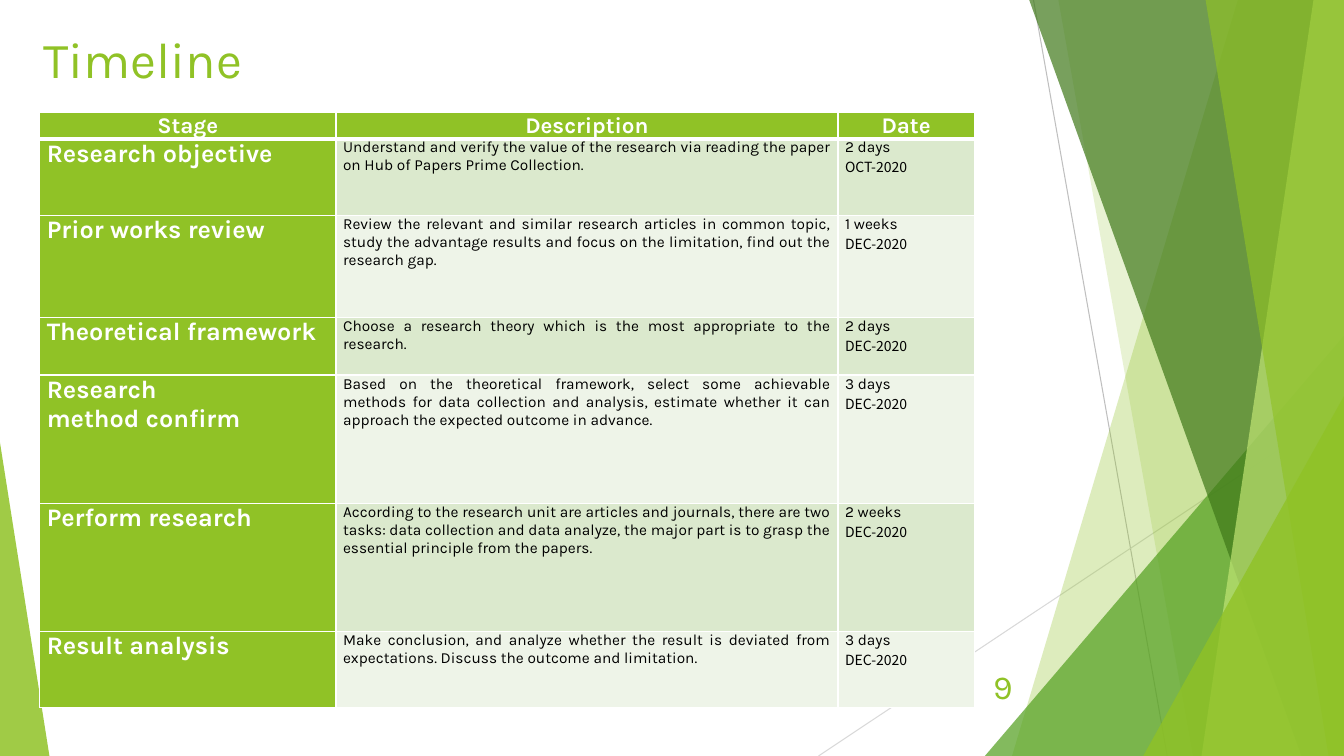
from dataclasses import dataclass

from lxml import etree
from pptx import Presentation
from pptx import util as u
from pptx.dml.color import RGBColor
from pptx.enum import shapes, text
from pptx.oxml.ns import qn


@dataclass(frozen=True)
class Theme:
    font: str = "Karla"
    date_font: str = "Noto Sans CJK SC"
    green: str = "90C226"
    mid_green: str = "54A021"
    dark_green: str = "3F7819"
    lime: str = "C0E474"
    band_dark: str = "DBE9CD"
    band_light: str = "EEF4E8"
    white: str = "FFFFFF"
    black: str = "000000"
    grey: str = "BFBFBF"
    pale_grey: str = "D9D9D9"
    title: int = 36
    number: int = 24
    stage: int = 18
    header: int = 16
    body: int = 11
    month: int = 10


class Deck:
    """Places elements in percent of the slide's width and height."""

    def __init__(self, theme):
        self.theme = theme
        self.prs = Presentation()
        self.prs.slide_width = u.Inches(13.33)
        self.prs.slide_height = u.Inches(7.5)
        self.slide = self.prs.slides.add_slide(self.prs.slide_layouts[5])

    def x(self, share):
        return round(self.prs.slide_width * share / 100)

    def y(self, share):
        return round(self.prs.slide_height * share / 100)

    def box(self, left, top, width, height):
        return self.x(left), self.y(top), self.x(width), self.y(height)

    def style(self, paragraph, size, color, align, bold=False, font=None):
        paragraph.alignment = align
        paragraph.font.name = font or self.theme.font
        paragraph.font.size = u.Pt(size)
        paragraph.font.bold = bold
        paragraph.font.color.rgb = RGBColor.from_string(color)

    def paint(self, shape, color, opacity):
        shape.shadow.inherit = False
        shape.line.fill.background()
        shape.fill.solid()
        shape.fill.fore_color.rgb = RGBColor.from_string(color)
        tint = shape.fill._xPr.find(qn("a:solidFill"))[0]
        etree.SubElement(tint, qn("a:alpha"), val=str(opacity * 1000))

    def line(self, x1, y1, x2, y2, color):
        ray = self.slide.shapes.add_connector(
            shapes.MSO_CONNECTOR.STRAIGHT,
            self.x(x1), self.y(y1), self.x(x2), self.y(y2))
        ray.line.color.rgb = RGBColor.from_string(color)
        ray.line.width = u.Pt(0.75)
        etree.SubElement(ray._element.spPr, qn("a:effectLst"))

    def shard(self, top_x, bottom_x, color, opacity):
        """A slanted panel that reaches the slide's right edge."""
        outline = self.slide.shapes.build_freeform(self.x(top_x), 0)
        outline.add_line_segments(
            [(self.x(px), self.y(py))
             for px, py in ((100, 0), (100, 100), (bottom_x, 100))])
        self.paint(outline.convert_to_shape(), color, opacity)

    def triangle(self, place, apex, color, opacity):
        wedge = self.slide.shapes.add_shape(
            shapes.MSO_SHAPE.ISOSCELES_TRIANGLE, *self.box(*place))
        wedge.adjustments[0] = apex
        self.paint(wedge, color, opacity)

    def title(self, place, words):
        heading = self.slide.shapes.title
        heading.left, heading.top, heading.width, heading.height = self.box(*place)
        heading.text_frame.text = words
        heading.text_frame.vertical_anchor = text.MSO_ANCHOR.TOP
        self.style(heading.text_frame.paragraphs[0], self.theme.title,
                   self.theme.green, text.PP_ALIGN.LEFT)

    def page_number(self, place, number):
        frame = self.slide.shapes.add_textbox(*self.box(*place)).text_frame
        frame.word_wrap = True
        frame.vertical_anchor = text.MSO_ANCHOR.MIDDLE
        frame.text = number
        self.style(frame.paragraphs[0], self.theme.number,
                   self.theme.green, text.PP_ALIGN.RIGHT)

    def borders(self, cell, **widths):
        props = cell._tc.get_or_add_tcPr()
        for side in "LRTB":
            edge = etree.SubElement(props, qn(f"a:ln{side}"),
                                    w=str(u.Pt(widths.get(side, 1))))
            fill = etree.SubElement(edge, qn("a:solidFill"))
            etree.SubElement(fill, qn("a:srgbClr"), val=self.theme.white)

    def cell(self, cell, words, fill, **widths):
        self.borders(cell, **widths)
        cell.fill.solid()
        cell.fill.fore_color.rgb = RGBColor.from_string(fill)
        cell.margin_left = cell.margin_right = self.x(0.53)
        cell.margin_top = cell.margin_bottom = 0
        cell.text_frame.text = words
        return cell.text_frame.paragraphs

    def timeline(self, place, columns, rows, header, stages):
        t = self.theme
        center, justify = text.PP_ALIGN.CENTER, text.PP_ALIGN.JUSTIFY
        table = self.slide.shapes.add_table(
            len(rows), len(columns), *self.box(*place)).table
        for column, width in zip(table.columns, columns):
            column.width = self.x(width)
        for row, height in zip(table.rows, rows):
            row.height = self.y(height)

        for c, label in enumerate(header):
            for p in self.cell(table.cell(0, c), label, t.green, B=3):
                self.style(p, t.header, t.white, center, bold=True)

        for r, (stage, description, date) in enumerate(stages, 1):
            band = t.band_dark if r % 2 else t.band_light
            top = 3 if r == 1 else 1
            for p in self.cell(table.cell(r, 0), stage, t.green, T=top):
                self.style(p, t.stage, t.white, justify, bold=True)
            for p in self.cell(table.cell(r, 1), description, band, T=top):
                self.style(p, t.body, t.black, justify)
            duration, month = self.cell(table.cell(r, 2), date, band, T=top)
            self.style(duration, t.body, t.black, justify)
            self.style(month, t.month, t.black, justify, font=t.date_font)


STAGES = [
    ("Research objective",
     "Understand and verify the value of the research via reading the paper "
     "on Hub of Papers Prime Collection.", "2 days\nOCT-2020"),
    ("Prior works review",
     "Review the relevant and similar research articles in common topic, "
     "study the advantage results and focus on the limitation, find out the "
     "research gap.", "1 weeks\nDEC-2020"),
    ("Theoretical framework",
     "Choose a research theory which is the most appropriate to the research.",
     "2 days\nDEC-2020"),
    ("Research\nmethod confirm",
     "Based on the theoretical framework, select some achievable methods for "
     "data collection and analysis, estimate whether it can approach the "
     "expected outcome in advance.", "3 days\nDEC-2020"),
    ("Perform research",
     "According to the research unit are articles and journals, there are two "
     "tasks: data collection and data analyze, the major part is to grasp the "
     "essential principle from the papers.", "2 weeks\nDEC-2020"),
    ("Result analysis",
     "Make conclusion, and analyze whether the result is deviated from "
     "expectations. Discuss the outcome and limitation.", "3 days\nDEC-2020"),
]


def main():
    theme = Theme()
    deck = Deck(theme)

    # Faceted backdrop, back to front
    deck.line(76.9, 0, 86.85, 100, theme.grey)
    deck.line(100, 53.73, 60.9, 100, theme.pale_grey)
    deck.shard(92.1, 75.3, theme.green, 30)
    deck.shard(78.75, 88.75, theme.green, 20)
    deck.triangle((73.28, 44.4, 26.72, 55.6), 1, theme.mid_green, 72)
    deck.shard(76.58, 96.83, theme.dark_green, 70)
    deck.shard(97.73, 89.4, theme.lime, 70)
    deck.shard(89.7, 98.85, theme.green, 65)
    deck.triangle((85.06, 52.4, 14.94, 47.6), 1, theme.green, 80)
    deck.triangle((0, 58.53, 3.68, 41.47), 0, theme.green, 85)

    # Heading, table and page number
    deck.title((2.48, 3.07, 70.5, 10.53), "Timeline")
    deck.timeline((2.95, 14.9, 69.6, 78.6), (22.05, 37.35, 10.15),
                  (3.4, 10.13, 13.47, 7.65, 16.95, 16.95, 10.13),
                  ("Stage", "Description", "Date"), STAGES)
    deck.page_number((70.45, 88.13, 5.63, 5.33), "9")

    deck.prs.save("out.pptx")


if __name__ == "__main__":
    main()
